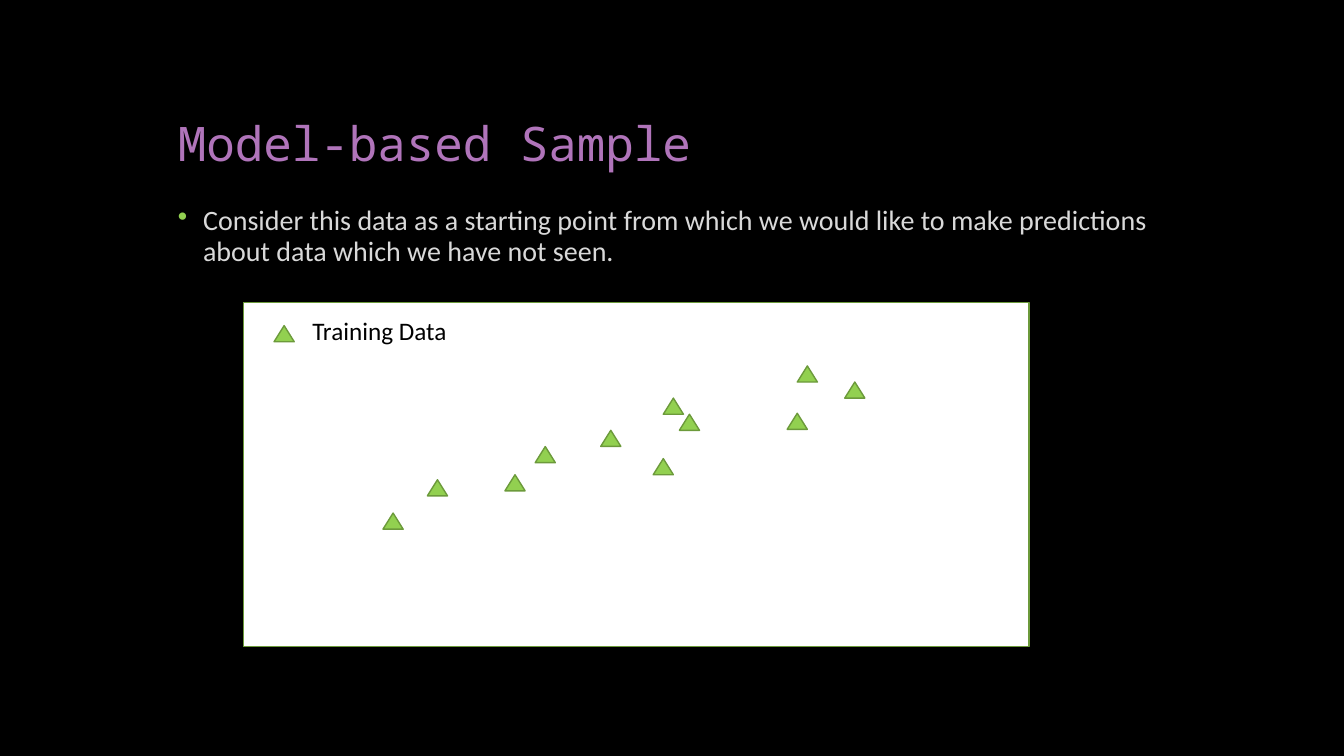
from lxml.etree import SubElement
from pptx import Presentation
from pptx.dml.color import RGBColor
from pptx.enum.shapes import MSO_SHAPE
from pptx.enum.text import MSO_ANCHOR
from pptx.oxml.ns import qn
from pptx.util import Pt

GREEN = "92D050"
EDGE = "6C9A3B"
WHITE = "FFFFFF"
POINTS = [
    (273.6, 366.5), (305.3, 342.7), (360.7, 339.1), (382.3, 319),
    (429.1, 307.4), (466.6, 327.6), (473.8, 284.4), (485.3, 295.9),
    (562.3, 295.2), (569.5, 261.4), (603.4, 272.9),
]


def paint(fill, color):
    """Give a fill one solid colour."""
    fill.solid()
    fill.fore_color.rgb = RGBColor.from_string(color)


def add_mark(slide, kind, left, top, width, height, color):
    """Draw a filled shape with a green edge."""
    mark = slide.shapes.add_shape(
        kind, Pt(left), Pt(top), Pt(width), Pt(height))
    mark.shadow.inherit = False
    paint(mark.fill, color)
    paint(mark.line.fill, EDGE)
    mark.line.width = Pt(1)


def add_point(slide, left, top):
    """Draw one data triangle."""
    add_mark(slide, MSO_SHAPE.ISOSCELES_TRIANGLE, left, top, 14.4, 11.5, GREEN)


def add_bullet(para, color, indent):
    """Put a coloured bullet with a hanging indent on a paragraph."""
    props = para._p.get_or_add_pPr()
    props.set("marL", str(Pt(indent)))
    props.set("indent", str(-Pt(indent)))
    tint = SubElement(props, qn("a:buClr"))
    SubElement(tint, qn("a:srgbClr"), val=color)
    SubElement(props, qn("a:buChar"), char="•")


def add_text(slide, text, left, top, width, height, *, size, color,
             font="Calibri", anchor=MSO_ANCHOR.TOP, space=1,
             bullet=None, fill=None):
    """Add a wrapped text box in the given format."""
    box = slide.shapes.add_textbox(Pt(left), Pt(top), Pt(width), Pt(height))
    if fill:
        paint(box.fill, fill)
    frame = box.text_frame
    frame.word_wrap = True
    frame.vertical_anchor = anchor
    para = frame.paragraphs[0]
    para.line_spacing = space
    if bullet:
        add_bullet(para, bullet, 18)
    run = para.add_run()
    run.text = text
    run.font.name = font
    run.font.size = Pt(size)
    run.font.color.rgb = RGBColor.from_string(color)


def main():
    """Build the slide and save it."""
    deck = Presentation()
    deck.slide_width, deck.slide_height = Pt(960), Pt(540)
    slide = deck.slides.add_slide(deck.slide_layouts[6])
    paint(slide.background.fill, "000000")
    add_text(slide, "Model-based Sample", 120, 36, 720, 90, size=34,
             color="B074BA", font="Noto Sans Mono",
             anchor=MSO_ANCHOR.BOTTOM, space=0.9)
    add_text(slide, "Consider this data as a starting point from which we "
             "would like to make predictions about data which we have not "
             "seen.", 120, 144, 720, 336, size=20, color="D9D9D9",
             space=0.9, bullet=GREEN)
    add_mark(slide, MSO_SHAPE.RECTANGLE, 174, 216, 561, 246, WHITE)
    for left, top in POINTS:
        add_point(slide, left, top)
    add_point(slide, 195.8, 232.6)
    add_text(slide, "Training Data", 216, 222, 155, 29, size=18,
             color="000000", fill=WHITE)
    deck.save("out.pptx")


if __name__ == "__main__":
    main()
